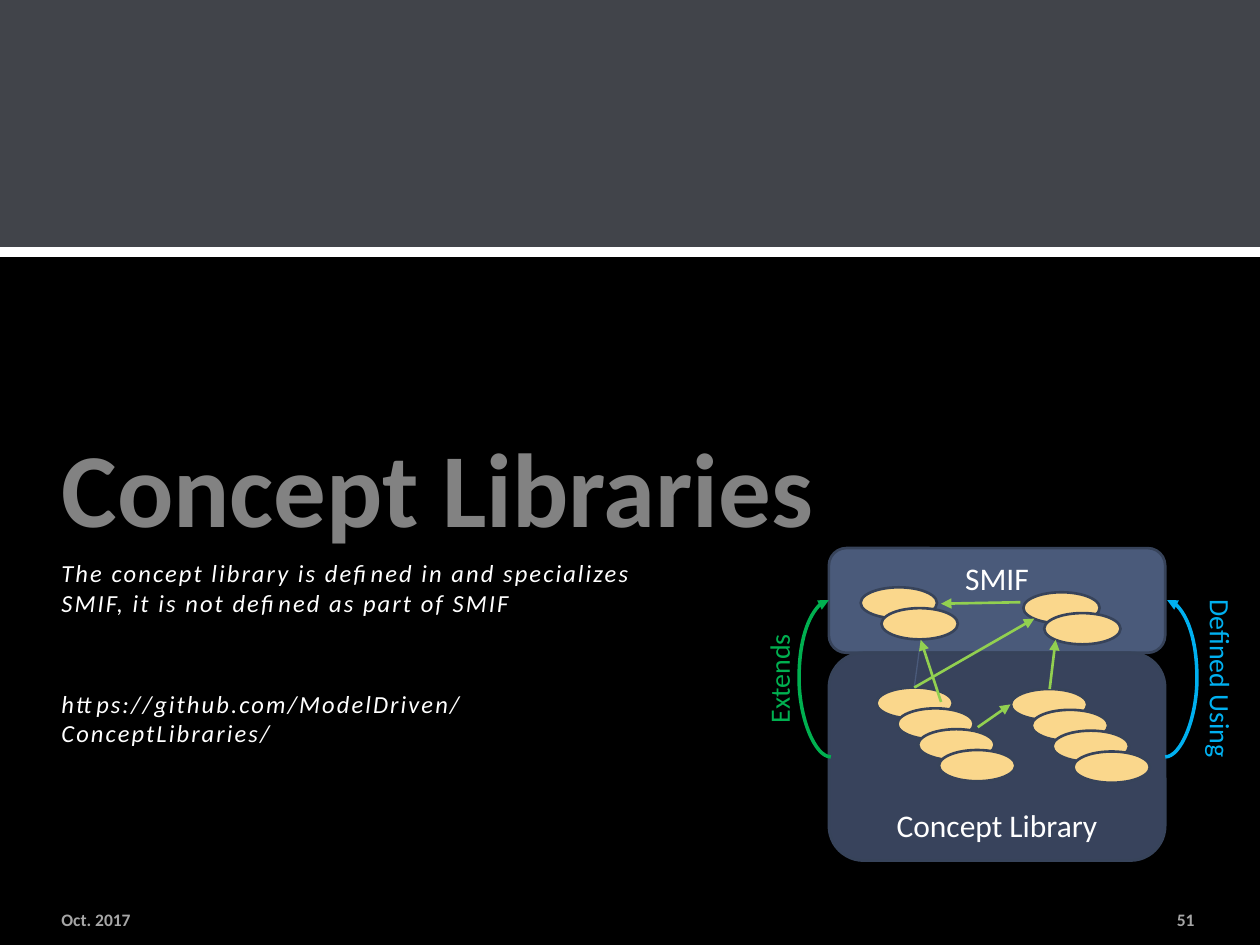
from dataclasses import dataclass

from lxml.etree import SubElement
from pptx import Presentation
from pptx.dml.color import RGBColor
from pptx.enum.shapes import MSO_CONNECTOR, MSO_SHAPE
from pptx.enum.text import MSO_ANCHOR, PP_ALIGN
from pptx.oxml.ns import qn
from pptx.util import Cm, Pt


@dataclass(frozen=True)
class Theme:
    font: str = "Calibri"
    background: str = "000000"
    band: str = "838995"
    white: str = "FFFFFF"
    title: str = "828282"
    footer: str = "A6A6A6"
    upper_box: str = "4A5A7A"
    lower_box: str = "38435C"
    outline: str = "37435A"
    concept: str = "FAD78C"
    relation: str = "92D050"
    extends: str = "00B050"
    defined: str = "00B0F0"
    title_size: int = 60
    box_size: int = 18
    side_size: int = 16
    body_size: int = 14
    footer_size: int = 10


THEME = Theme()


def color(value):
    return RGBColor.from_string(value)


def format_text(frame, size, text_color, bold=False, italic=False, align=PP_ALIGN.LEFT):
    for paragraph in frame.paragraphs:
        paragraph.alignment = align
        for run in paragraph.runs:
            run.font.name = THEME.font
            run.font.size = Pt(size)
            run.font.bold = bold
            run.font.italic = italic
            run.font.color.rgb = color(text_color)


def add_text(slide, bounds, text, size, text_color, anchor=MSO_ANCHOR.TOP, wrap=True, **style):
    shape = slide.shapes.add_textbox(*map(Cm, bounds))
    frame = shape.text_frame
    frame.word_wrap = wrap
    frame.vertical_anchor = anchor
    frame.text = text
    format_text(frame, size, text_color, **style)
    return shape


def add_filled_shape(slide, kind, bounds, fill, outline=None):
    shape = slide.shapes.add_shape(kind, *map(Cm, bounds))
    shape.shadow.inherit = False
    shape.fill.solid()
    shape.fill.fore_color.rgb = color(fill)
    if outline:
        shape.line.color.rgb = color(outline)
        shape.line.width = Pt(1.5)
    else:
        shape.line.fill.background()
    return shape


def add_band(slide):
    band = add_filled_shape(slide, MSO_SHAPE.RECTANGLE, (0, 0, 25.4, 5.08), THEME.band)
    fill_color = band.fill._xPr.find(qn("a:solidFill"))[0]
    SubElement(fill_color, qn("a:alpha"), val="50000")


def add_box(slide, bounds, text, fill, anchor):
    box = add_filled_shape(slide, MSO_SHAPE.ROUNDED_RECTANGLE, bounds, fill, THEME.outline)
    box.text_frame.text = text
    box.text_frame.vertical_anchor = anchor
    format_text(box.text_frame, THEME.box_size, THEME.white, align=PP_ALIGN.CENTER)


def add_concept_stack(slide, left, top, count, step=0.42):
    for index in range(count):
        bounds = (left + index * step, top + index * step, 1.54, 0.63)
        add_filled_shape(slide, MSO_SHAPE.OVAL, bounds, THEME.concept, THEME.outline)


def add_line(slide, start, end, line_color, width, kind=MSO_CONNECTOR.STRAIGHT, arrow=True):
    connector = slide.shapes.add_connector(kind, *map(Cm, start + end))
    connector.line.color.rgb = color(line_color)
    connector.line.width = Pt(width)
    if arrow:
        SubElement(connector.line._get_or_add_ln(), qn("a:tailEnd"), type="triangle")
    SubElement(connector._element.spPr, qn("a:effectLst"))
    return connector


def add_bow(slide, start, end, line_color, bulge=0.64):
    connector = add_line(slide, start, end, line_color, 2, MSO_CONNECTOR.CURVE)
    ratio = round(bulge / abs(end[0] - start[0]) * 100000)
    geometry = connector._element.spPr.find(qn("a:prstGeom"))
    adjustments = geometry.find(qn("a:avLst"))
    if adjustments is None:
        adjustments = SubElement(geometry, qn("a:avLst"))
    SubElement(adjustments, qn("a:gd"), name="adj1", fmla=f"val {ratio}")


def add_side_label(slide, bounds, text, text_color, rotation):
    label = add_text(slide, bounds, text, THEME.side_size, text_color,
                     wrap=False, align=PP_ALIGN.CENTER)
    label.rotation = rotation


def add_description(slide):
    text = ("The concept library is defined in and specializes SMIF, "
            "it is not defined as part of SMIF\n"
            "https://github.com/ModelDriven/ConceptLibraries/")
    box = add_text(slide, (0.99, 11.13, 12.7, 3.28), text,
                   THEME.body_size, THEME.white, italic=True)
    paragraphs = box.text_frame.paragraphs
    paragraphs[1].space_before = Pt(41)
    for paragraph in paragraphs:
        for run in paragraph.runs:
            run.font._element.set("spc", "120")


def add_diagram(slide):
    add_box(slide, (16.71, 11.05, 6.78, 2.11), "SMIF", THEME.upper_box, MSO_ANCHOR.TOP)
    add_box(slide, (16.71, 13.16, 6.78, 4.19), "Concept Library",
            THEME.lower_box, MSO_ANCHOR.BOTTOM)

    for left, top, count in ((17.35, 11.84, 2), (20.63, 11.94, 2),
                             (17.67, 13.86, 4), (20.38, 13.89, 4)):
        add_concept_stack(slide, left, top, count)

    add_line(slide, (18.43, 13.86), (18.56, 12.9), THEME.upper_box, 0.75)
    for start, end in (((18.43, 13.86), (20.85, 12.47)),
                       ((18.97, 14.15), (18.56, 12.9)),
                       ((21.16, 13.89), (21.28, 12.9)),
                       ((19.71, 14.66), (20.37, 14.2)),
                       ((20.57, 12.14), (18.97, 12.17))):
        add_line(slide, start, end, THEME.relation, 1.5)

    add_bow(slide, (23.49, 15.26), (23.53, 12.1), THEME.defined)
    add_bow(slide, (16.75, 15.26), (16.71, 12.1), THEME.extends)
    add_side_label(slide, (22.63, 13.21, 3.96, 0.94), "Defined Using", THEME.defined, 90)
    add_side_label(slide, (14.5, 13.21, 2.41, 0.94), "Extends", THEME.extends, 270)


def main():
    presentation = Presentation()
    presentation.slide_width = Cm(25.4)
    presentation.slide_height = Cm(19.05)
    slide = presentation.slides.add_slide(presentation.slide_layouts[6])
    slide.background.fill.solid()
    slide.background.fill.fore_color.rgb = color(THEME.background)

    add_band(slide)
    add_line(slide, (0, 5.08), (25.4, 5.08), THEME.white, 6, arrow=False)
    add_description(slide)
    add_text(slide, (0.99, 18.19, 4.06, 0.69), "Oct. 2017", THEME.footer_size,
             THEME.footer, MSO_ANCHOR.MIDDLE, bold=True)
    add_text(slide, (21.89, 18.19, 2.44, 0.69), "51", THEME.footer_size,
             THEME.footer, MSO_ANCHOR.MIDDLE, bold=True, align=PP_ALIGN.RIGHT)
    title = add_text(slide, (0.99, 5.54, 23.44, 5.51), "Concept Libraries",
                     THEME.title_size, THEME.title, MSO_ANCHOR.BOTTOM, bold=True)
    title.text_frame.margin_bottom = Cm(0)
    add_diagram(slide)
    presentation.save("out.pptx")


if __name__ == "__main__":
    main()
